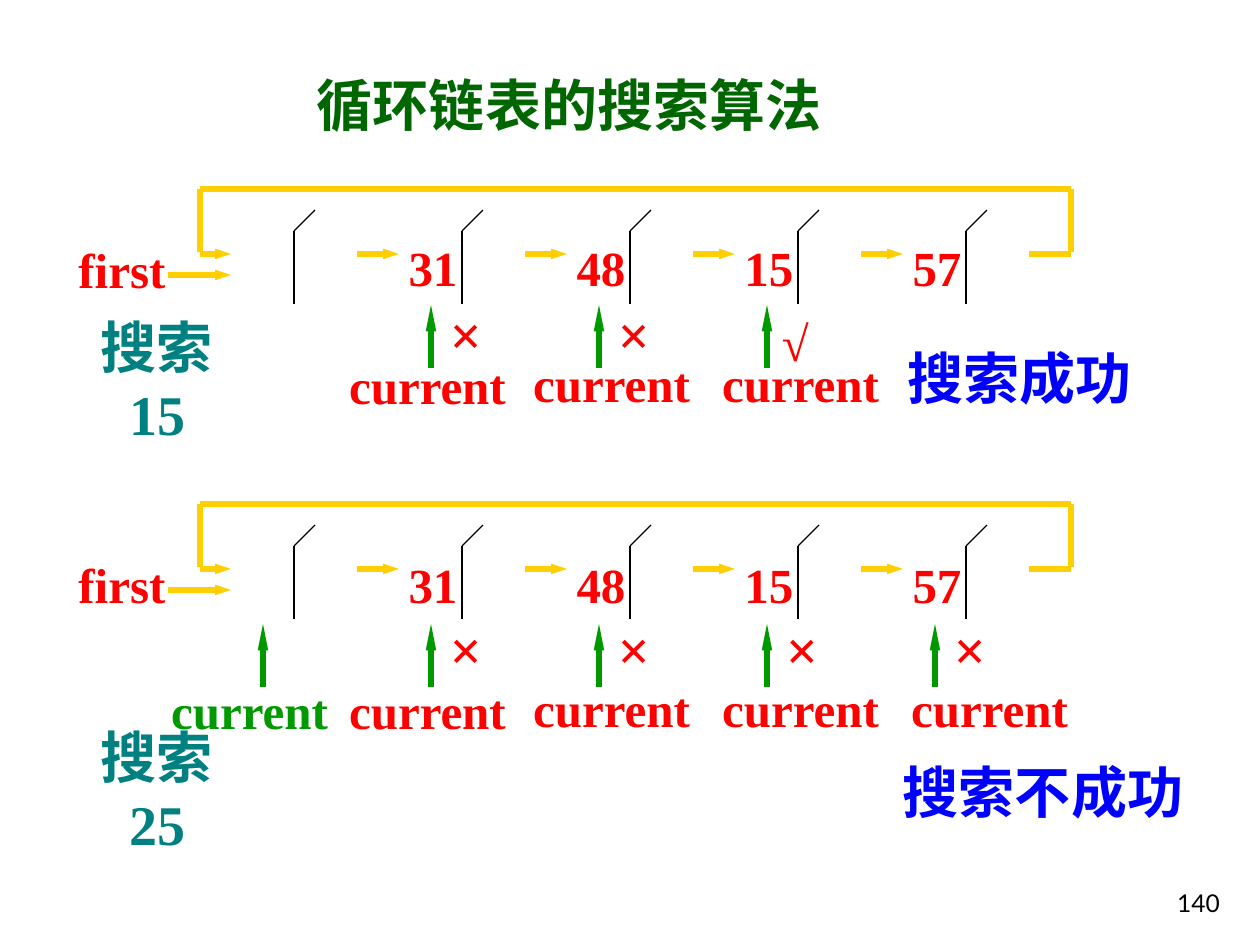
from dataclasses import dataclass

from lxml import etree
from pptx import Presentation
from pptx.dml.color import RGBColor
from pptx.enum.shapes import MSO_CONNECTOR
from pptx.enum.text import MSO_ANCHOR, MSO_AUTO_SIZE, PP_ALIGN
from pptx.oxml.ns import qn
from pptx.util import Pt

STRAIGHT = MSO_CONNECTOR.STRAIGHT
TOP, MIDDLE, BOTTOM = MSO_ANCHOR.TOP, MSO_ANCHOR.MIDDLE, MSO_ANCHOR.BOTTOM
LEFT, CENTER, RIGHT = PP_ALIGN.LEFT, PP_ALIGN.CENTER, PP_ALIGN.RIGHT
FIT, FIXED = MSO_AUTO_SIZE.SHAPE_TO_FIT_TEXT, MSO_AUTO_SIZE.NONE


@dataclass(frozen=True)
class Theme:
    font: str = "Times New Roman"
    number_font: str = "Lato"
    title: str = "006600"
    result: str = "0000FF"
    target: str = "008080"
    value: str = "FF0000"
    link: str = "FFCF01"
    pointer: str = "009900"
    ink: str = "000000"
    large: int = 32
    body: int = 28
    small: int = 14
    thick: float = 3
    thin: float = 0.75


THEME = Theme()
PITCH = 168                 # distance between list nodes
CURRENT_X = [-42, 136, 320, 509, 698]
VALUES = ["31", "48", "15", "57"]
TIGHT = (6, 6)              # insets for labels in narrow boxes

SEARCHES = [
    {"top": 189, "value_y": 42, "tip_y": 116, "current_y": 158,
     "target": "搜索15", "target_y": 151,
     "result": "搜索成功", "result_box": (692, 147, 323, 83),
     "marks": {1: "×", 2: "×", 3: "√"}},
    {"top": 504, "value_y": 44, "tip_y": 120, "current_y": 168,
     "target": "搜索25", "target_y": 246,
     "result": "搜索不成功", "result_box": (688, 246, 319, 83),
     "marks": {0: "", 1: "×", 2: "×", 3: "×", 4: "×"}},
]


def px(n):
    return round(n * 914400 / 126)


def text(s, box, words, color, size=THEME.body, font=THEME.font, bold=True,
         align=CENTER, anchor=MIDDLE, wrap=False, fit=FIT, inset=(13, 6)):
    sp = s.shapes.add_textbox(*map(px, box))
    tf = sp.text_frame
    side, end = map(px, inset)
    frame = {"word_wrap": wrap, "auto_size": fit, "vertical_anchor": anchor,
             "margin_left": side, "margin_right": side,
             "margin_top": end, "margin_bottom": end}
    for name, value in frame.items():
        setattr(tf, name, value)
    p = tf.paragraphs[0]
    p.alignment = align
    r = p.add_run()
    r.text = words
    for name, value in {"name": font, "size": Pt(size), "bold": bold}.items():
        setattr(r.font, name, value)
    r.font.color.rgb = RGBColor.from_string(color)


def heading(s, box, words, color):
    text(s, box, words, color, THEME.large, align=LEFT, anchor=TOP,
         wrap=True, inset=(15, 8))


def line(s, start, end, color, width=THEME.thick, head=None):
    """Draw a straight line; head is the arrowhead length, if any."""
    c = s.shapes.add_connector(STRAIGHT, *map(px, (*start, *end)))
    c.line.color.rgb = RGBColor.from_string(color)
    c.line.width = Pt(width)
    if head:
        etree.SubElement(c.line._get_or_add_ln(), qn("a:tailEnd"),
                         type="triangle", w="sm", len=head)
    etree.SubElement(c._element.spPr, qn("a:effectLst"))


def circular_list(s, left, top, value_y):
    def at(x, y):
        return left + x, top + y

    # Node dividers, links and values
    for i in range(len(VALUES) + 1):
        x = i * PITCH
        corner = at(94 + x, 42)
        line(s, corner, at(94 + x, 115), THEME.ink, THEME.thin)
        line(s, corner, at(115 + x, 21), THEME.ink, THEME.thin)
        head = "med" if i < len(VALUES) else None
        line(s, at(157 + x, 65), at(199 + x, 65), THEME.link, head=head)
    for i, value in enumerate(VALUES):
        text(s, (*at(196 + i * PITCH, value_y), 74, 72), value, THEME.value,
             inset=TIGHT)

    # Link from the last node back to the first
    line(s, at(871, 0), at(0, 0), THEME.link)
    for x in (0, 871):
        line(s, at(x, 0), at(x, 63), THEME.link)
    line(s, at(0, 65), at(31, 65), THEME.link, head="med")

    # Pointer to the first node
    line(s, at(-32, 86), at(31, 86), THEME.link, head="med")
    text(s, (*at(-134, 44), 112, 72), "first", THEME.value, inset=TIGHT)


def search_steps(s, left, top, marks, tip_y, current_y):
    for i, mark in marks.items():
        x = left + 63 + i * PITCH
        line(s, (x, top + tip_y + 63), (x, top + tip_y), THEME.pointer, head="lg")
        if mark == "√":
            text(s, (x + 2, top + 117, 52, 72), mark, THEME.value)
        elif mark:
            text(s, (x + 6, top + 105, 57, 79), mark, THEME.value, THEME.large)
        y = top + current_y + (2 if i < 2 else 0)
        text(s, (left + CURRENT_X[i], y, 183, 72), "current",
             THEME.value if mark else THEME.pointer)


def search_region(s, left, case):
    top = case["top"]
    circular_list(s, left, top, case["value_y"])
    search_steps(s, left, top, case["marks"], case["tip_y"], case["current_y"])
    text(s, (left - 140, top + case["target_y"], 194, 79), case["target"],
         THEME.target, THEME.large, wrap=True)
    x, y, w, h = case["result_box"]
    heading(s, (left + x, top + y, w, h), case["result"], THEME.result)


def main():
    prs = Presentation()
    prs.slide_width, prs.slide_height = px(1260), px(945)
    s = prs.slides.add_slide(prs.slide_layouts[6])
    heading(s, (302, 63, 611, 83), "循环链表的搜索算法", THEME.title)
    for case in SEARCHES:
        search_region(s, 200, case)
    # Slide number
    text(s, (971, 860, 262, 63), "140", THEME.ink, THEME.small,
         THEME.number_font, bold=False, align=RIGHT, anchor=BOTTOM,
         wrap=True, fit=FIXED)
    prs.save("out.pptx")


if __name__ == "__main__":
    main()
